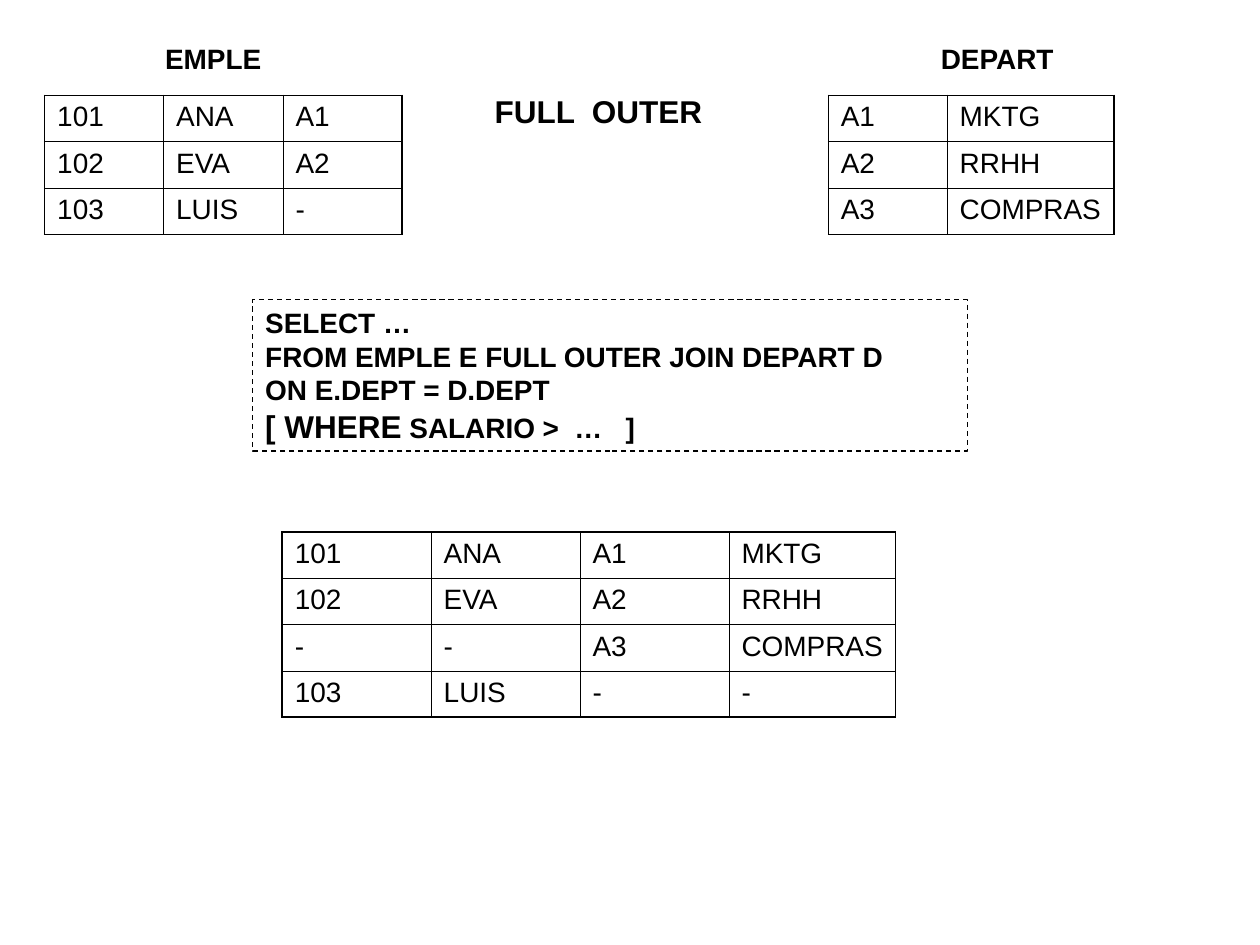
"""Build a slide showing a FULL OUTER JOIN of two tables."""
import pptx
import pptx.dml.color
import pptx.enum.dml
import pptx.enum.shapes
import pptx.enum.text
import pptx.oxml
import pptx.oxml.ns
import pptx.util

Pt = pptx.util.Pt
ALIGN = pptx.enum.text.PP_ALIGN
BLACK = pptx.dml.color.RGBColor(0, 0, 0)
THIN, THICK = 0.45, 1.08
ROW_HEIGHT = 26.5


def add_run(p, text, size=16, bold=False, align=ALIGN.LEFT, before=0):
    p.alignment = align
    p.space_before = Pt(before)
    r = p.add_run()
    r.text = text
    r.font.name = "Arial"
    r.font.size = Pt(size)
    r.font.bold = bold
    r.font.color.rgb = BLACK


def set_border(cell, side, width):
    cell._tc.get_or_add_tcPr().append(pptx.oxml.parse_xml(
        f'<a:{side} {pptx.oxml.ns.nsdecls("a")} w="{Pt(width)}">'
        f'<a:solidFill><a:srgbClr val="{BLACK}"/></a:solidFill></a:{side}>'))


prs = pptx.Presentation()
prs.slide_width, prs.slide_height = Pt(720), Pt(540)
s = prs.slides.add_slide(prs.slide_layouts[5])

title = s.shapes.title
title.left, title.top, title.width, title.height = Pt(275.5), Pt(49), Pt(133.5), Pt(29)
tf = title.text_frame
tf.word_wrap = False
tf.auto_size = pptx.enum.text.MSO_AUTO_SIZE.SHAPE_TO_FIT_TEXT
tf.vertical_anchor = pptx.enum.text.MSO_ANCHOR.TOP
add_run(tf.paragraphs[0], "FULL  OUTER", size=18, bold=True)

for text, left in [("EMPLE", 14.25), ("DEPART", 462.25)]:
    sp = s.shapes.add_textbox(Pt(left), Pt(20.25), Pt(215.25), Pt(26.5))
    tf = sp.text_frame
    tf.word_wrap = True
    tf.auto_size = pptx.enum.text.MSO_AUTO_SIZE.SHAPE_TO_FIT_TEXT
    add_run(tf.paragraphs[0], text, bold=True, align=ALIGN.CENTER)

tables = [
    (25.5, 54.5, THICK, [68, 68.25, 68],
     [["101", "ANA", "A1"], ["102", "EVA", "A2"], ["103", "LUIS", "-"]]),
    (473.25, 54.5, THIN, [68, 95.25],
     [["A1", "MKTG"], ["A2", "RRHH"], ["A3", "COMPRAS"]]),
    (161.25, 304, THICK, [85.1, 85.1, 85.1, 95.25],
     [["101", "ANA", "A1", "MKTG"], ["102", "EVA", "A2", "RRHH"],
      ["-", "-", "A3", "COMPRAS"], ["103", "LUIS", "-", "-"]]),
]
for left, top, left_border, widths, rows in tables:
    last_row, last_col = len(rows) - 1, len(widths) - 1
    table = s.shapes.add_table(len(rows), len(widths), Pt(left), Pt(top),
                               Pt(sum(widths)), Pt(ROW_HEIGHT * len(rows))).table
    table.first_row = table.horz_banding = False
    for column, width in zip(table.columns, widths):
        column.width = Pt(width)
    for i, row in enumerate(rows):
        for j, text in enumerate(row):
            cell = table.cell(i, j)
            set_border(cell, "lnL", left_border if j == 0 else THIN)
            set_border(cell, "lnR", THICK if j == last_col else THIN)
            set_border(cell, "lnT", THICK if i == 0 else THIN)
            set_border(cell, "lnB", THICK if i == last_row else THIN)
            cell.fill.background()
            add_run(cell.text_frame.paragraphs[0], text, before=4)

sp = s.shapes.add_shape(pptx.enum.shapes.MSO_SHAPE.RECTANGLE,
                        Pt(144.5), Pt(171.25), Pt(408.25), Pt(86.5))
sp.shadow.inherit = False
sp.fill.background()
sp.line.color.rgb = BLACK
sp.line.width = Pt(0.75)
sp.line.dash_style = pptx.enum.dml.MSO_LINE.DASH
tf = sp.text_frame
tf.word_wrap = True
tf.auto_size = pptx.enum.text.MSO_AUTO_SIZE.SHAPE_TO_FIT_TEXT
tf.vertical_anchor = pptx.enum.text.MSO_ANCHOR.TOP
query = [
    [("SELECT …", 16)],
    [("FROM EMPLE E FULL OUTER JOIN DEPART D", 16)],
    [("ON E.DEPT = D.DEPT", 16)],
    [("[ WHERE", 18), (" SALARIO >  …   ]", 16)],
]
for i, line in enumerate(query):
    p = tf.add_paragraph() if i else tf.paragraphs[0]
    for text, size in line:
        add_run(p, text, size=size, bold=True)

prs.save("out.pptx")
